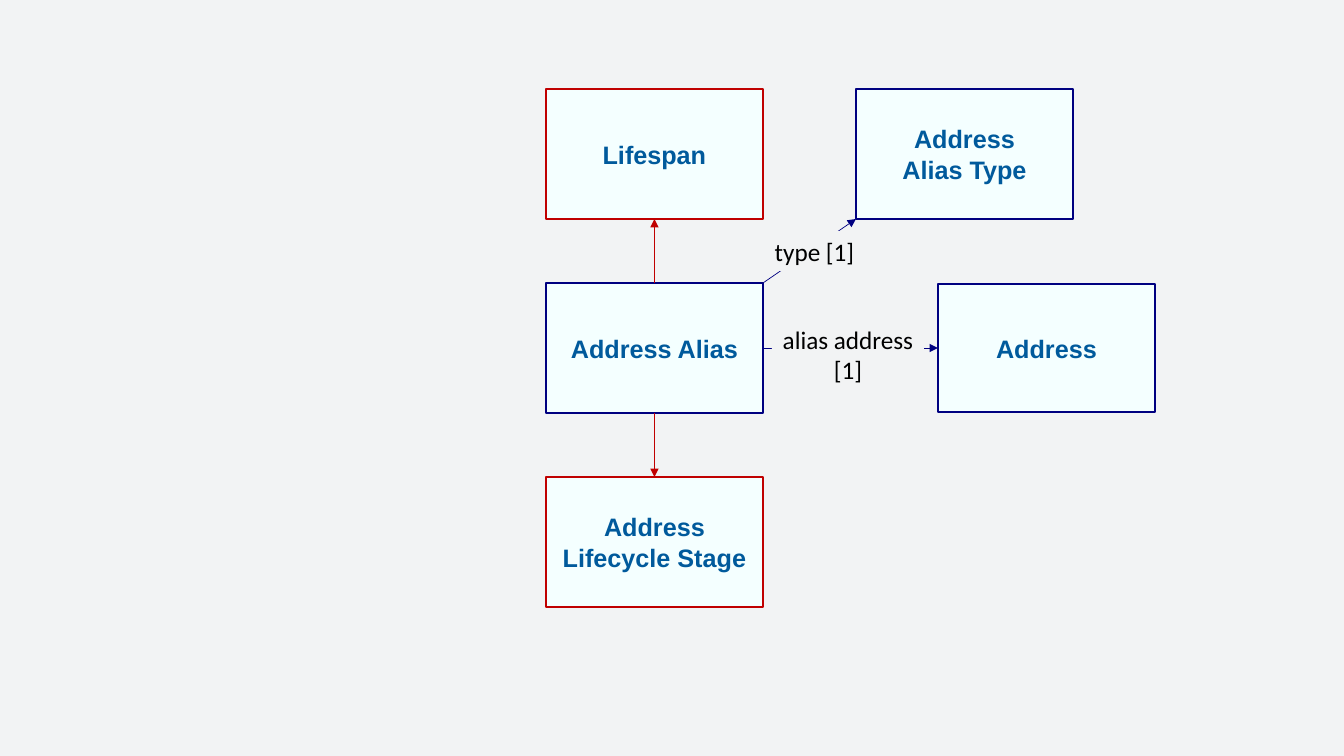
from lxml.etree import SubElement
from pptx import Presentation
from pptx.dml.color import RGBColor
from pptx.enum.shapes import MSO_CONNECTOR, MSO_SHAPE
from pptx.enum.text import MSO_ANCHOR, PP_ALIGN
from pptx.oxml.ns import qn
from pptx.util import Pt

EMU_PER_PIXEL = 914400 / 100.8
BACKGROUND = "F2F3F4"
NAVY = "000080"
RED = "C00000"
BOX_WIDTH, BOX_HEIGHT = 217, 130
ROW_PITCH = 194
TOP, RIGHT, BOTTOM, LEFT = 0, 3, 2, 1


def px(length):
    return round(length * EMU_PER_PIXEL)


def color(value):
    return RGBColor.from_string(value)


def write_text(shape, text, font="Arial", size=18, ink="005A9C", bold=False,
               anchor=MSO_ANCHOR.MIDDLE, wrap=True):
    frame = shape.text_frame
    frame.word_wrap = wrap
    frame.vertical_anchor = anchor
    para = frame.paragraphs[0]
    para.text = text
    para.alignment = PP_ALIGN.CENTER
    for span in para.runs:
        span.font.name = font
        span.font.size = Pt(size)
        span.font.bold = bold
        span.font.color.rgb = color(ink)


def add_rectangle(page, left, top, width, height, fill):
    shape = page.shapes.add_shape(
        MSO_SHAPE.RECTANGLE, px(left), px(top), px(width), px(height))
    shape.shadow.inherit = False
    shape.fill.solid()
    shape.fill.fore_color.rgb = color(fill)
    return shape


def add_entity(page, text, left, top, height=BOX_HEIGHT, outline=NAVY):
    box = add_rectangle(page, left, top, BOX_WIDTH, height, "F4FFFF")
    box.line.color.rgb = color(outline)
    box.line.width = Pt(1)
    write_text(box, text, bold=True)
    return box


def add_label(page, text, left, top, width, height):
    label = add_rectangle(page, left, top, width, height, BACKGROUND)
    label.line.fill.background()
    write_text(label, text, font="Calibri", ink="000000",
               anchor=MSO_ANCHOR.TOP, wrap=False)


def add_arrow(page, start, end, outline=NAVY):
    arrow = page.shapes.add_connector(MSO_CONNECTOR.STRAIGHT, *start, *end)
    arrow.line.color.rgb = color(outline)
    arrow.line.width = Pt(0.5)
    properties = arrow.line._get_or_add_ln()
    SubElement(properties, qn("a:tailEnd"), type="triangle")
    SubElement(arrow._element.spPr, qn("a:effectLst"))
    return arrow


def join_sides(page, source, source_side, target, target_side, outline=NAVY):
    arrow = add_arrow(page, (0, 0), (0, 0), outline)
    arrow.begin_connect(source, source_side)
    arrow.end_connect(target, target_side)


def draw_alias_diagram(page, left, top):
    middle = top + ROW_PITCH
    lifespan = add_entity(page, "Lifespan", left, top, outline=RED)
    alias = add_entity(page, "Address Alias", left, middle)
    stage = add_entity(page, "Address Lifecycle Stage", left,
                       middle + ROW_PITCH, outline=RED)
    alias_type = add_entity(page, "Address\nAlias Type", left + 310, top)
    address = add_entity(page, "Address", left + 392, middle + 1,
                         height=BOX_HEIGHT - 2)

    join_sides(page, alias, TOP, lifespan, BOTTOM, RED)
    join_sides(page, alias, BOTTOM, stage, TOP, RED)
    join_sides(page, alias, RIGHT, address, LEFT)
    add_arrow(page, (alias.left + alias.width, alias.top),
              (alias_type.left, alias_type.top + alias_type.height))

    add_label(page, "type [1]", left + 218, top + 142, 101, 40)
    add_label(page, "alias address\n[1]", left + 226, top + 230, 152, 72)


def main():
    deck = Presentation()
    deck.slide_width = px(1344)
    deck.slide_height = px(756)
    page = deck.slides.add_slide(deck.slide_layouts[6])
    page.background.fill.solid()
    page.background.fill.fore_color.rgb = color(BACKGROUND)
    draw_alias_diagram(page, 546, 89)
    deck.save("out.pptx")


if __name__ == "__main__":
    main()
